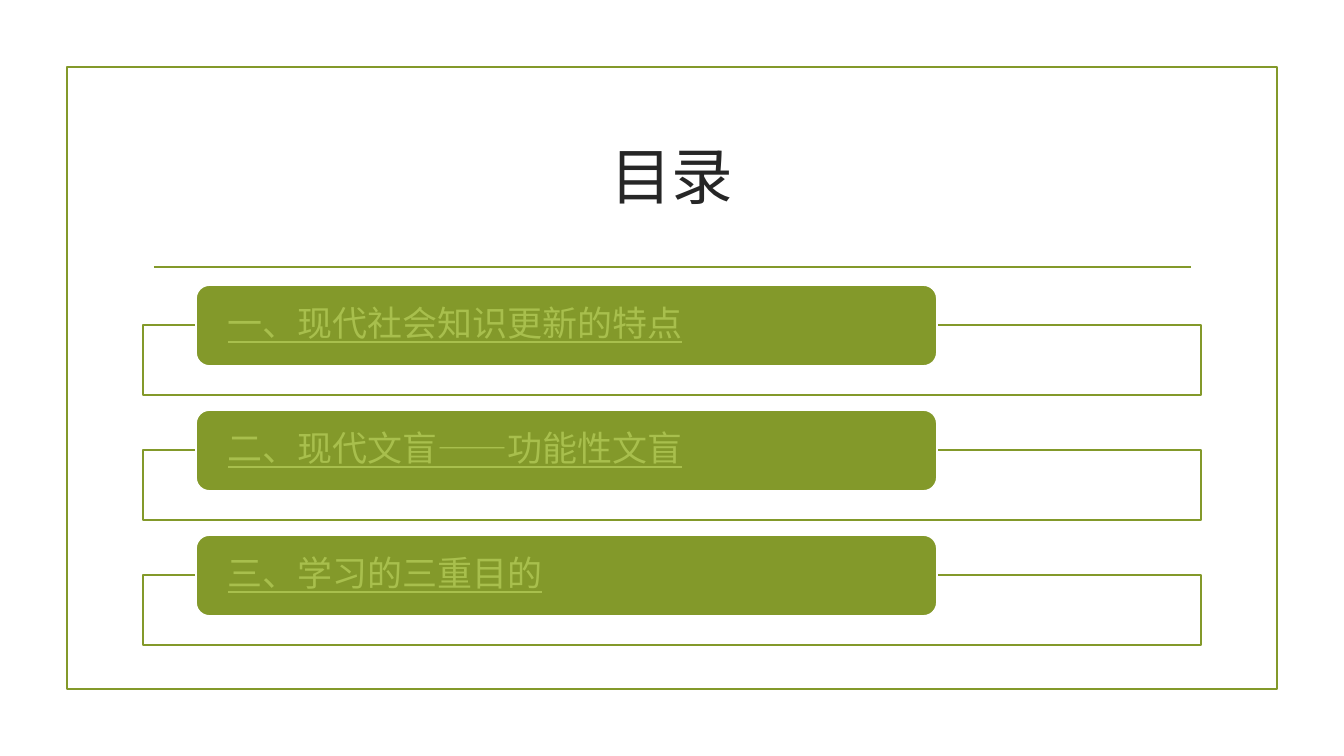
from dataclasses import dataclass

import pptx
import pptx.dml.color
import pptx.enum.shapes
import pptx.enum.text
import pptx.util
from lxml import etree

TITLE = "目录"
TOPICS = [
    "一、现代社会知识更新的特点",
    "二、现代文盲——功能性文盲",
    "三、学习的三重目的",
]

PAGE_SIZE = (1344, 756)
FRAME = (67, 67, 1210, 622)
TITLE_BOX = (143, 108, 1058, 144)
RULE = (154, 267, 1191, 267)
PANEL = (143, 325, 1058, 70)
BAR = (196, 285, 741, 81)
TOPIC_PITCH = 125
BAR_INSET = 28


@dataclass(frozen=True)
class Theme:
    font: str = "Times New Roman"
    title_size: int = 44
    topic_size: int = 25
    line_width: float = 1.25
    olive: str = "83992A"
    lime: str = "A8BF4D"
    ink: str = "262626"
    white: str = "FFFFFF"


THEME = Theme()
SHAPES = pptx.enum.shapes.MSO_SHAPE
ALIGN = pptx.enum.text.PP_ALIGN
MIDDLE = pptx.enum.text.MSO_ANCHOR.MIDDLE


def px(length):
    return pptx.util.Emu(round(length * 914400 / 100.8))


def rgb(value):
    return pptx.dml.color.RGBColor.from_string(value)


def style_line(line, color):
    line.color.rgb = rgb(color)
    line.width = pptx.util.Pt(THEME.line_width)


def add_block(page, kind, area, fill, outline):
    block = page.shapes.add_shape(kind, *map(px, area))
    block.shadow.inherit = False
    if fill:
        block.fill.solid()
        block.fill.fore_color.rgb = rgb(fill)
    else:
        block.fill.background()
    style_line(block.line, outline)
    return block


def write(box, text, size, color, align, inset=0, underline=False):
    frame = box.text_frame
    frame.word_wrap = True
    frame.vertical_anchor = MIDDLE
    frame.margin_left = frame.margin_right = px(inset)
    frame.margin_top = frame.margin_bottom = 0
    para = frame.paragraphs[0]
    para.alignment = align
    para.line_spacing = 0.9
    span = para.add_run()
    span.text = text
    span.font.name = THEME.font
    span.font.size = pptx.util.Pt(size)
    span.font.color.rgb = rgb(color)
    span.font.underline = underline


def add_rule(page):
    rule = page.shapes.add_connector(
        pptx.enum.shapes.MSO_CONNECTOR.STRAIGHT, *map(px, RULE))
    style_line(rule.line, THEME.olive)
    properties = rule.element.spPr
    etree.SubElement(properties, pptx.oxml.ns.qn("a:effectLst"))


def add_topic(page, index, topic):
    shift = index * TOPIC_PITCH
    panel_left, panel_top, *panel_size = PANEL
    bar_left, bar_top, *bar_size = BAR
    add_block(page, SHAPES.RECTANGLE,
              (panel_left, panel_top + shift, *panel_size),
              THEME.white, THEME.olive)
    bar = add_block(page, SHAPES.ROUNDED_RECTANGLE,
                    (bar_left, bar_top + shift, *bar_size),
                    THEME.olive, THEME.white)
    write(bar, topic, THEME.topic_size, THEME.lime, ALIGN.LEFT,
          BAR_INSET, underline=True)


def main():
    deck = pptx.Presentation()
    deck.slide_width, deck.slide_height = map(px, PAGE_SIZE)
    page = deck.slides.add_slide(deck.slide_layouts.get_by_name("Title Only"))

    title = page.shapes.title
    title.left, title.top, title.width, title.height = map(px, TITLE_BOX)
    write(title, TITLE, THEME.title_size, THEME.ink, ALIGN.CENTER)

    add_block(page, SHAPES.RECTANGLE, FRAME, None, THEME.olive)
    add_rule(page)
    for index, topic in enumerate(TOPICS):
        add_topic(page, index, topic)

    deck.save("out.pptx")


if __name__ == "__main__":
    main()
